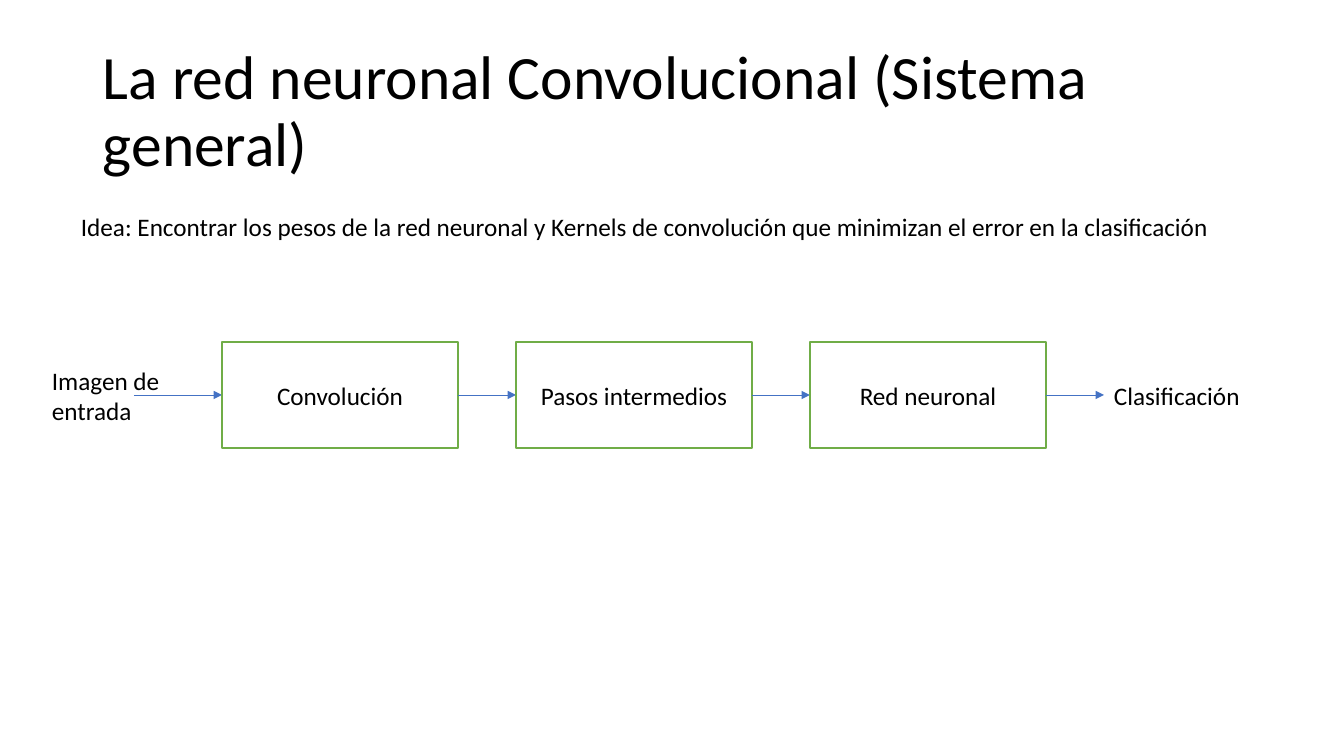
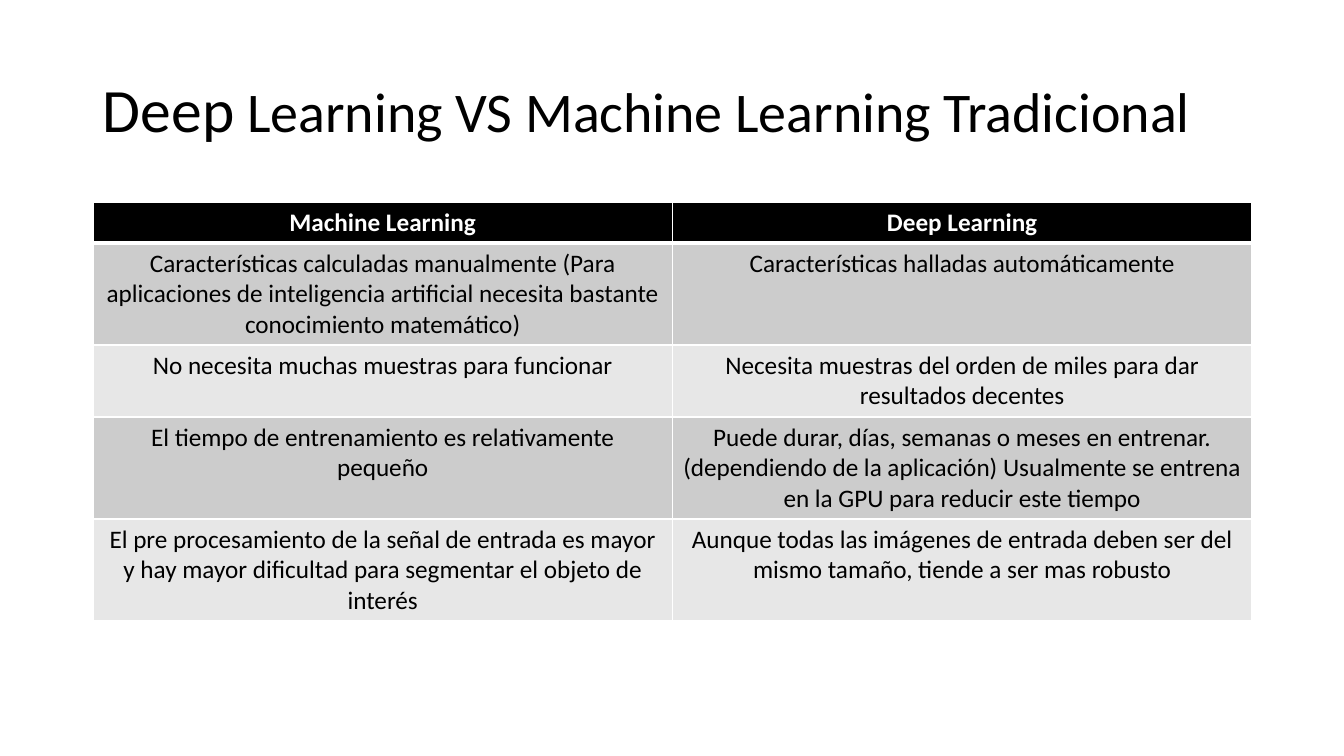
import pptx
import pptx.util
import pptx.dml.color
import pptx.enum.shapes
import pptx.enum.text
import pptx.oxml
import pptx.oxml.ns

RGBColor = pptx.dml.color.RGBColor
ALIGN = pptx.enum.text.PP_ALIGN
ANCHOR = pptx.enum.text.MSO_ANCHOR

# Content
SYSTEM_TITLE = [("La red neuronal Convolucional (Sistema general)", 44)]
IDEA = ("Idea: Encontrar los pesos de la red neuronal y Kernels de convolución "
        "que minimizan el error en la clasificación")
INPUT_LINES = ["Imagen de", "entrada"]
STAGES = ["Convolución", "Pasos intermedios", "Red neuronal"]
OUTPUT = "Clasificación"

COMPARISON_TITLE = [("Deep", 44), (" Learning VS Machine Learning Tradicional", 40)]
COMPARISON = [
    ("Machine Learning", "Deep Learning"),
    ("Características calculadas manualmente (Para aplicaciones de inteligencia "
     "artificial necesita bastante conocimiento matemático)",
     "Características halladas automáticamente"),
    ("No necesita muchas muestras para funcionar",
     "Necesita muestras del orden de miles para dar resultados decentes"),
    ("El tiempo de entrenamiento es relativamente pequeño",
     "Puede durar, días, semanas o meses en entrenar.(dependiendo de la aplicación) "
     "Usualmente se entrena en la GPU para reducir este tiempo"),
    ("El pre procesamiento de la señal de entrada es mayor y hay mayor dificultad "
     "para segmentar el objeto de interés",
     "Aunque todas las imágenes de entrada deben ser del mismo tamaño, "
     "tiende a ser mas robusto"),
]

# Shared style
FONT = "Calibri"
BODY_SIZE = 18
BLACK = RGBColor(0x00, 0x00, 0x00)
WHITE = RGBColor(0xFF, 0xFF, 0xFF)
BLUE = RGBColor(0x44, 0x72, 0xC4)
GREEN = RGBColor(0x70, 0xAD, 0x47)
BANDS = [RGBColor(0xCC, 0xCC, 0xCC), RGBColor(0xE7, 0xE7, 0xE7)]

# Layout in pixels
LEFT, CONTENT_WIDTH = 93, 1159
TITLE_TOP, TITLE_HEIGHT = 40, 146
STAGE_LEFT, STAGE_TOP, STAGE_WIDTH, STAGE_HEIGHT, STAGE_GAP = 222, 342, 236, 106, 58
INPUT_ARROW_LEFT = 134
TABLE_TOP = 202
ROW_HEIGHTS = [41, 102, 72, 102, 102]


def px(length):
    return pptx.util.Emu(round(length * 914400 / 100.8))


def add_span(para, text, size=BODY_SIZE, color=BLACK, bold=False):
    span = para.add_run()
    span.text = text
    span.font.name = FONT
    span.font.size = pptx.util.Pt(size)
    span.font.color.rgb = color
    span.font.bold = bold


def add_title(page, spans):
    box = page.shapes.add_textbox(px(LEFT), px(TITLE_TOP), px(CONTENT_WIDTH), px(TITLE_HEIGHT))
    frame = box.text_frame
    frame.word_wrap = True
    frame.vertical_anchor = ANCHOR.MIDDLE
    para = frame.paragraphs[0]
    para.line_spacing = 0.9
    for text, size in spans:
        add_span(para, text, size)


def add_label(page, lines, left, top, width, height):
    frame = page.shapes.add_textbox(px(left), px(top), px(width), px(height)).text_frame
    frame.word_wrap = False
    frame.auto_size = pptx.enum.text.MSO_AUTO_SIZE.SHAPE_TO_FIT_TEXT
    for index, line in enumerate(lines):
        para = frame.add_paragraph() if index else frame.paragraphs[0]
        add_span(para, line)


def add_stage(page, name, left):
    box = page.shapes.add_shape(pptx.enum.shapes.MSO_SHAPE.RECTANGLE,
                                px(left), px(STAGE_TOP), px(STAGE_WIDTH), px(STAGE_HEIGHT))
    box.shadow.inherit = False
    box.fill.solid()
    box.fill.fore_color.rgb = WHITE
    box.line.color.rgb = GREEN
    box.line.width = pptx.util.Pt(1)
    box.text_frame.vertical_anchor = ANCHOR.MIDDLE
    para = box.text_frame.paragraphs[0]
    para.alignment = ALIGN.CENTER
    add_span(para, name)


def add_arrow(page, start, end):
    middle = px(STAGE_TOP + STAGE_HEIGHT / 2)
    arrow = page.shapes.add_connector(pptx.enum.shapes.MSO_CONNECTOR.STRAIGHT,
                                      px(start), middle, px(end), middle)
    arrow.line.color.rgb = BLUE
    arrow.line.width = pptx.util.Pt(0.5)
    properties = arrow.element.spPr
    head = pptx.oxml.parse_xml(f'<a:tailEnd {pptx.oxml.ns.nsdecls("a")} type="triangle"/>')
    properties.find(pptx.oxml.ns.qn("a:ln")).append(head)
    properties.append(pptx.oxml.parse_xml(f'<a:effectLst {pptx.oxml.ns.nsdecls("a")}/>'))


def add_borders(cell, top, bottom):
    properties = cell._tc.get_or_add_tcPr()
    for side, points in (("L", 1), ("R", 1), ("T", top), ("B", bottom)):
        properties.append(pptx.oxml.parse_xml(
            f'<a:ln{side} {pptx.oxml.ns.nsdecls("a")} w="{pptx.util.Pt(points)}">'
            f'<a:solidFill><a:srgbClr val="{WHITE}"/></a:solidFill></a:ln{side}>'))


def add_comparison(page, rows):
    columns = len(rows[0])
    table = page.shapes.add_table(len(rows), columns, px(LEFT), px(TABLE_TOP),
                                  px(CONTENT_WIDTH), px(sum(ROW_HEIGHTS))).table
    for column in table.columns:
        column.width = px(CONTENT_WIDTH / columns)
    for r, texts in enumerate(rows):
        header = r == 0
        table.rows[r].height = px(ROW_HEIGHTS[r])
        for c, text in enumerate(texts):
            cell = table.cell(r, c)
            add_borders(cell, top=3 if r == 1 else 1, bottom=3 if header else 1)
            cell.fill.solid()
            cell.fill.fore_color.rgb = BLACK if header else BANDS[(r - 1) % 2]
            para = cell.text_frame.paragraphs[0]
            para.alignment = ALIGN.CENTER
            add_span(para, text, color=WHITE if header else BLACK, bold=header)


deck = pptx.Presentation()
deck.slide_width, deck.slide_height = px(1344), px(756)
blank = deck.slide_layouts[6]

# Slide 1: the chain from input image to class
page = deck.slides.add_slide(blank)
add_title(page, SYSTEM_TITLE)
add_arrow(page, INPUT_ARROW_LEFT, STAGE_LEFT)
for index, name in enumerate(STAGES):
    left = STAGE_LEFT + index * (STAGE_WIDTH + STAGE_GAP)
    right = left + STAGE_WIDTH
    add_stage(page, name, left)
    add_arrow(page, right, right + STAGE_GAP)
add_label(page, [OUTPUT], right + STAGE_GAP, 375, 147, 40)
add_label(page, INPUT_LINES, 42, 360, 135, 71)
add_label(page, [IDEA], 71, 206, 1162, 40)

# Slide 2: comparison table
page = deck.slides.add_slide(blank)
add_title(page, COMPARISON_TITLE)
add_comparison(page, COMPARISON)

deck.save("out.pptx")
